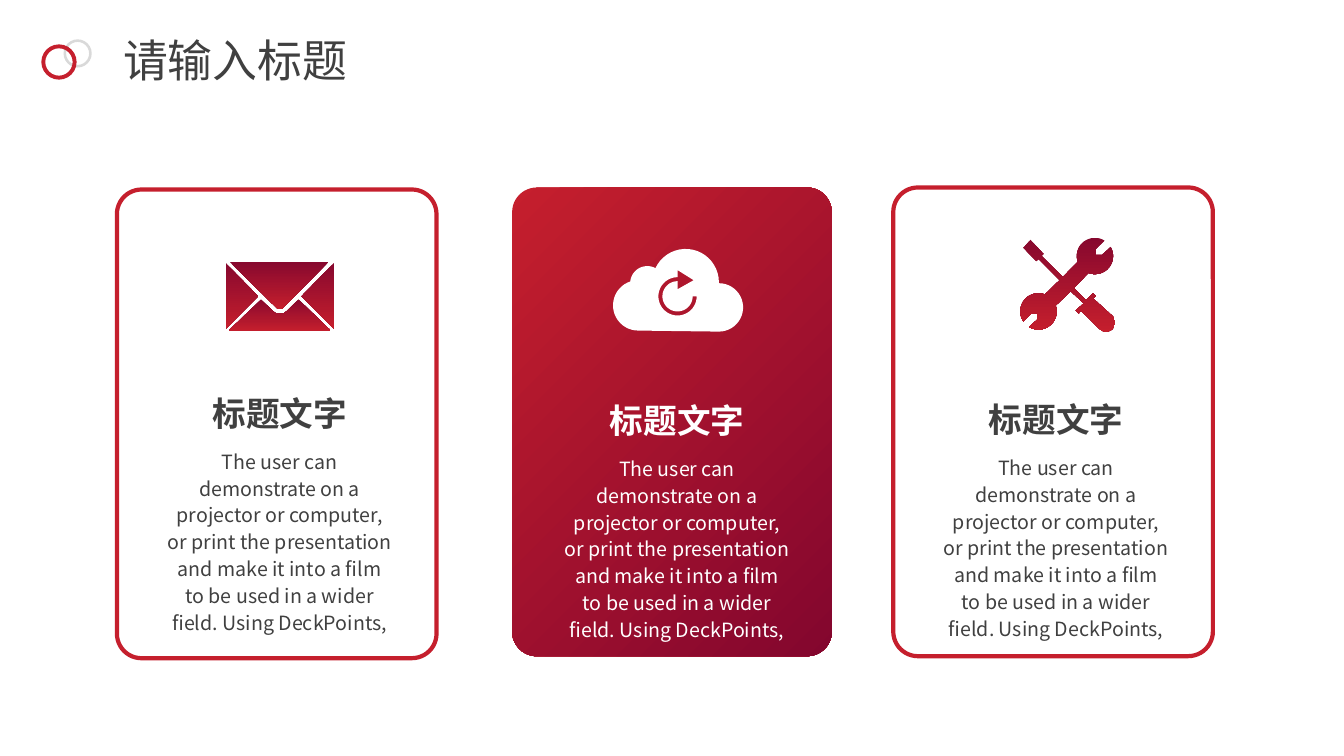
"""Build a slide with three icon cards under a title."""
import dataclasses
import math
import typing

import lxml.etree
import pptx
import pptx.dml.color
import pptx.enum.shapes
import pptx.enum.text
import pptx.oxml.ns
import pptx.util

Inches = pptx.util.Inches
Shape = pptx.enum.shapes.MSO_SHAPE
Align = pptx.enum.text.PP_ALIGN
Fit = pptx.enum.text.MSO_AUTO_SIZE
Point = tuple[float, float]
Path = list[Point]

FONT = "Noto Sans CJK SC"
RED, WINE, PLUM = "C51F2D", "83062E", "87082E"
GREY, DARK, WHITE = "D9D9D9", "404040", "FFFFFF"
HEAD = "标题文字"
BODY = ("The user can demonstrate on a projector or computer, or print the "
        "presentation and make it into a film to be used in a wider field. "
        "Using DeckPoints,")


@dataclasses.dataclass
class Ring:
    left: float
    top: float
    size: float
    band: float
    tint: str


@dataclasses.dataclass
class Card:
    left: float
    top: float
    text_left: float
    text_top: float
    ink: str
    solid: bool


RINGS = [Ring(0.63, 0.39, 0.28, 0.092, GREY), Ring(0.41, 0.44, 0.35, 0.112, RED)]
CARDS = [
    Card(1.16, 1.88, 1.06, 3.77, DARK, False),
    Card(5.08, 1.86, 5.00, 3.84, WHITE, True),
    Card(8.86, 1.86, 8.76, 3.83, DARK, False),
]


def color(code: str) -> pptx.dml.color.RGBColor:
    return pptx.dml.color.RGBColor.from_string(code)


def arc(x: float, y: float, r: float, start: float, end: float) -> Path:
    count = max(3, math.ceil(abs(end - start) / 8))
    turns = [math.radians(start + (end - start) * i / count) for i in range(count + 1)]
    return [(x + r * math.cos(t), y + r * math.sin(t)) for t in turns]


def paint(shape: typing.Any, tints: list[str], angle: float = 0) -> None:
    shape.shadow.inherit = False
    shape.line.fill.background()
    if len(tints) == 1:
        shape.fill.solid()
        shape.fill.fore_color.rgb = color(tints[0])
        return
    shape.fill.gradient()
    shape.fill.gradient_angle = 360 - angle
    for stop, tint in zip(shape.fill.gradient_stops, tints):
        stop.color.rgb = color(tint)


def trace(shapes: typing.Any, paths: list[Path], tints: list[str]) -> None:
    lines = [[(Inches(x), Inches(y)) for x, y in path] for path in paths]
    pen = shapes.build_freeform(*lines[0][0])
    pen.add_line_segments(lines[0][1:], close=True)
    for line in lines[1:]:
        pen.move_to(*line[0])
        pen.add_line_segments(line[1:], close=True)
    paint(pen.convert_to_shape(), tints, 90)


def place(shape: typing.Any, left: float, top: float, width: float, height: float) -> None:
    box = {"left": left, "top": top, "width": width, "height": height}
    for key, value in box.items():
        setattr(shape, key, Inches(value))


def write(shape: typing.Any, text: str, size: float, ink: str, frame: dict,
          para: dict, bold: bool = False) -> None:
    for key, value in frame.items():
        setattr(shape.text_frame, key, value)
    line = shape.text_frame.paragraphs[0]
    for key, value in para.items():
        setattr(line, key, value)
    run = line.add_run()
    run.text = text
    for key, value in {"name": FONT, "size": pptx.util.Pt(size), "bold": bold}.items():
        setattr(run.font, key, value)
    run.font.color.rgb = color(ink)
    tag = pptx.oxml.ns.qn("a:ea")
    lxml.etree.SubElement(run._r.get_or_add_rPr(), tag, typeface=FONT)


def draw_ring(shapes: typing.Any, ring: Ring) -> None:
    shape = shapes.add_shape(Shape.DONUT, 0, 0, 0, 0)
    place(shape, ring.left, ring.top, ring.size, ring.size)
    shape.adjustments[0] = ring.band
    paint(shape, [ring.tint])


def draw_card(shapes: typing.Any, card: Card) -> None:
    shape = shapes.add_shape(Shape.ROUNDED_RECTANGLE, 0, 0, 0, 0)
    place(shape, card.left, card.top, 3.17, 4.65)
    shape.adjustments[0] = 0.077
    paint(shape, [RED, WINE], 45)
    if not card.solid:
        shape.fill.background()
        shape.line.color.rgb = color(RED)
        shape.line.width = pptx.util.Pt(3)
    frame = {"word_wrap": True, "auto_size": Fit.SHAPE_TO_FIT_TEXT}
    rows = [(HEAD, 24, 0, 0, 3.43, 0.55, 1.2, True),
            (BODY, 14, 0.5, 0.61, 2.43, 1.7, 1.14, False)]
    for text, size, right, down, width, height, gap, bold in rows:
        box = shapes.add_textbox(0, 0, 0, 0)
        place(box, card.text_left + right, card.text_top + down, width, height)
        para = {"alignment": Align.CENTER, "line_spacing": gap}
        write(box, text, size, card.ink, frame, para, bold)


def draw_mail(shapes: typing.Any) -> None:
    parts = [
        [(2.56, 2.94), (2.24, 2.61), (2.24, 3.26)],
        [(2.81, 3.05), (3.26, 2.6), (2.28, 2.6), (2.74, 3.05), (2.76, 3.07), (2.79, 3.07)],
        [(2.96, 2.97), (2.84, 3.09), (2.81, 3.11), (2.74, 3.11), (2.71, 3.09),
         (2.59, 2.97), (2.27, 3.28), (3.28, 3.28)],
        [(2.99, 2.94), (3.31, 3.26), (3.31, 2.61)],
    ]
    for part in parts:
        trace(shapes, [part], [PLUM, RED])


def draw_cloud(shapes: typing.Any) -> None:
    cloud = (arc(7.13, 3.05, 0.24, 90, -90) + arc(6.8, 2.8, 0.33, 0, -155)
             + arc(6.42, 2.81, 0.17, -62, -170) + arc(6.33, 3.03, 0.25, -108, -270))
    swirl = (arc(6.72, 2.94, 0.19, 90, 270)
             + [(6.72, 2.68), (6.88, 2.78), (6.72, 2.87)]
             + arc(6.72, 2.94, 0.15, 270, 0) + arc(6.72, 2.94, 0.19, 0, 90))
    trace(shapes, [cloud, swirl], [WHITE])


def draw_tools(shapes: typing.Any) -> None:
    tools = (
        [(10.84, 2.96), (10.87, 2.94), (10.84, 2.91), (10.77, 2.98), (10.65, 2.86)]
        + arc(10.86, 2.54, 0.18, 111, -30)
        + [(10.93, 2.53), (10.87, 2.53), (10.87, 2.47)]
        + arc(10.86, 2.54, 0.18, -58, -199)
        + [(10.54, 2.75), (10.33, 2.54), (10.35, 2.52), (10.22, 2.38), (10.15, 2.46),
           (10.28, 2.59), (10.3, 2.57), (10.51, 2.78)]
        + arc(10.3, 3.09, 0.18, -69, -213)
        + [(10.23, 3.11), (10.29, 3.11), (10.29, 3.17)]
        + arc(10.3, 3.09, 0.18, 121, -19)
        + [(10.62, 2.89), (10.75, 3.01), (10.67, 3.08), (10.7, 3.11), (10.72, 3.08)]
        + arc(10.97, 3.2, 0.09, 135, -45))
    trace(shapes, [tools], [PLUM, RED])


def main() -> None:
    deck = pptx.Presentation()
    deck.slide_width, deck.slide_height = Inches(13.33), Inches(7.5)
    shapes = deck.slides.add_slide(deck.slide_layouts[5]).shapes
    place(shapes.title, 1.12, 0.27, 2.45, 0.64)
    frame = {"word_wrap": False, "auto_size": Fit.NONE,
             "vertical_anchor": pptx.enum.text.MSO_ANCHOR.TOP}
    write(shapes.title, "请输入标题", 32, DARK, frame, {"alignment": Align.LEFT})
    for ring in RINGS:
        draw_ring(shapes, ring)
    for card in CARDS:
        draw_card(shapes, card)
    for draw in (draw_mail, draw_cloud, draw_tools):
        draw(shapes)
    deck.save("out.pptx")


if __name__ == "__main__":
    main()
